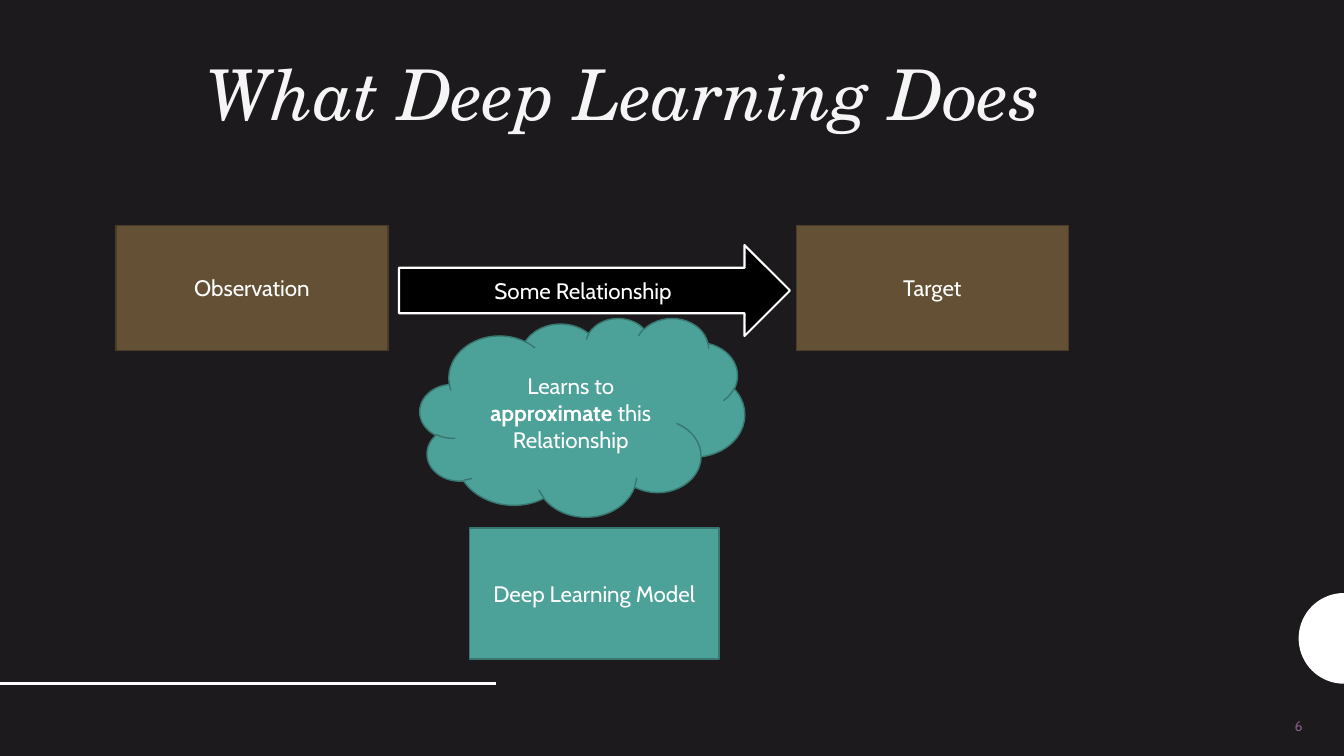
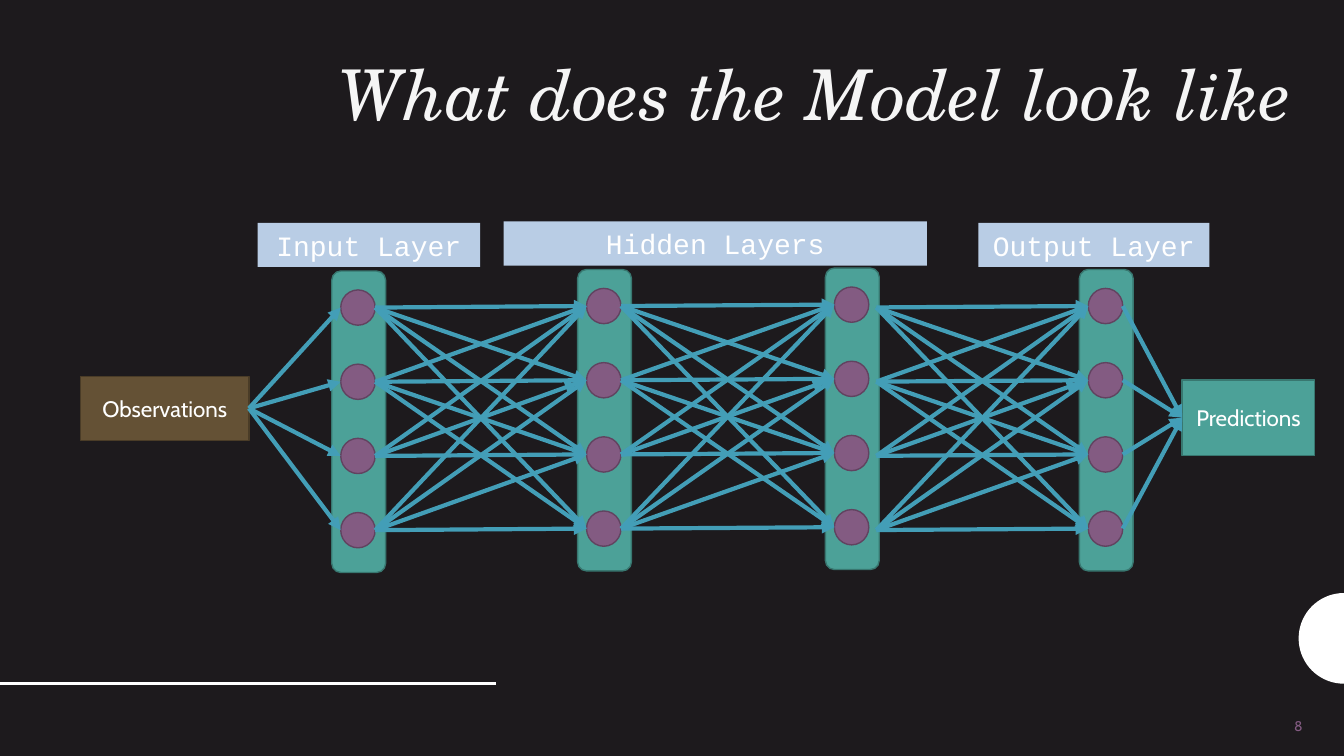
import math

import lxml.etree
import pptx
import pptx.dml.color
import pptx.enum.shapes
import pptx.enum.text
import pptx.oxml.ns
import pptx.util

Pt = pptx.util.Pt
SHAPE = pptx.enum.shapes.MSO_SHAPE
ALIGN = pptx.enum.text.PP_ALIGN
ANCHOR = pptx.enum.text.MSO_ANCHOR

WIDTH, HEIGHT = 960, 540
BACKGROUND, WHITE, TITLE_COLOR = "1D1A1D", "FFFFFF", "F5F5F5"
PURPLE, ARROW_BLUE = "835B82", "439EB7"

# Fill, line colour and line width of each kind of shape
BROWN_BOX = ("645135", "4A3C27", 1)
TEAL_BOX = ("4CA198", "387770", 1)
BLACK_ARROW = ("000000", WHITE, 1.5)
NEURON = (PURPLE, "614360", 1)
LABEL = ("B9CDE5", None, 0)
PLAIN_WHITE = (WHITE, None, 0)

# Text formats
BODY = {"name": "Cabin", "size": Pt(16), "color": WHITE}
LABEL_TEXT = {"name": "Courier New", "size": Pt(20), "color": WHITE}
TITLE = {"name": "TeX Gyre Schola", "size": Pt(50), "italic": True, "color": TITLE_COLOR}
NUMBER = {"name": "Cabin", "size": Pt(10), "color": PURPLE}

# Network grid
NODE_COUNT = 4
LAYER_WIDTH, LAYER_HEIGHT = 38.4, 215.3
NODE_WIDTH, NODE_HEIGHT, NODE_PITCH = 24.6, 25.2, 53
NODE_LEFT, NODE_TOP = 6.4, 13.5


def rgb(color):
    return pptx.dml.color.RGBColor.from_string(color)


class Deck:
    """Holds the presentation, its shared style and the current slide."""

    def __init__(self):
        self.presentation = pptx.Presentation()
        self.presentation.slide_width = Pt(WIDTH)
        self.presentation.slide_height = Pt(HEIGHT)
        self.slide = None

    def add_slide(self, title, title_width, number):
        self.slide = self.presentation.slides.add_slide(self.presentation.slide_layouts[6])
        fill = self.slide.background.fill
        fill.solid()
        fill.fore_color.rgb = rgb(BACKGROUND)
        self.half_circle(WIDTH, 456, 32.4)
        self.line((0, 488.4), (354.3, 488.4), WHITE, 2)
        self.text(713.5, 504, 224, 28.8, str(number), NUMBER, ANCHOR.MIDDLE)
        self.text(32.4, 10.1, title_width, 90.7, title, TITLE, ANCHOR.BOTTOM, 0.9)

    def paint(self, shape, style):
        fill_color, line_color, line_width = style
        shape.shadow.inherit = False
        shape.fill.solid()
        shape.fill.fore_color.rgb = rgb(fill_color)
        if line_color:
            shape.line.color.rgb = rgb(line_color)
            shape.line.width = Pt(line_width)
        else:
            shape.line.fill.background()

    def set_text(self, frame, runs, text_format, align, anchor):
        frame.word_wrap = True
        frame.vertical_anchor = anchor
        paragraph = frame.paragraphs[0]
        paragraph.alignment = align
        for text, extra in runs:
            run = paragraph.add_run()
            run.text = text
            for name, value in {**text_format, **extra}.items():
                if name == "color":
                    run.font.color.rgb = rgb(value)
                else:
                    setattr(run.font, name, value)
        return paragraph

    def text(self, left, top, width, height, text, text_format, anchor, spacing=1.0):
        box = self.slide.shapes.add_textbox(Pt(left), Pt(top), Pt(width), Pt(height))
        paragraph = self.set_text(box.text_frame, [(text, {})], text_format, ALIGN.RIGHT, anchor)
        paragraph.line_spacing = spacing

    def shape(self, kind, left, top, width, height, style, runs=(), text_format=BODY):
        shape = self.slide.shapes.add_shape(kind, Pt(left), Pt(top), Pt(width), Pt(height))
        self.paint(shape, style)
        if isinstance(runs, str):
            runs = [(runs, {})]
        if runs:
            self.set_text(shape.text_frame, runs, text_format, ALIGN.CENTER, ANCHOR.MIDDLE)
        return shape

    def half_circle(self, center_x, center_y, radius):
        angles = [math.radians(degree) for degree in range(90, 271, 5)]
        points = [(Pt(center_x + radius * math.cos(angle)),
                   Pt(center_y + radius * math.sin(angle))) for angle in angles]
        builder = self.slide.shapes.build_freeform(*points[0])
        builder.add_line_segments(points[1:], close=True)
        self.paint(builder.convert_to_shape(), PLAIN_WHITE)

    def line(self, start, end, color, width, arrow=False):
        connector = self.slide.shapes.add_connector(
            pptx.enum.shapes.MSO_CONNECTOR.STRAIGHT, *map(Pt, start + end))
        connector.line.color.rgb = rgb(color)
        connector.line.width = Pt(width)
        qualified = pptx.oxml.ns.qn
        properties = connector._element.spPr
        if arrow:
            line_element = properties.find(qualified("a:ln"))
            lxml.etree.SubElement(line_element, qualified("a:tailEnd"), type="triangle")
        lxml.etree.SubElement(properties, qualified("a:effectLst"))
        return connector

    def arrow(self, start, end):
        return self.line(start, end, ARROW_BLUE, 3, arrow=True)

    def label(self, left, top, width, text):
        self.shape(SHAPE.RECTANGLE, left, top, width, 31.5, LABEL, text, LABEL_TEXT)

    def layer(self, left, top):
        """Draw a column of nodes."""
        self.shape(SHAPE.ROUNDED_RECTANGLE, left, top, LAYER_WIDTH, LAYER_HEIGHT, TEAL_BOX)
        for index in range(NODE_COUNT):
            self.shape(SHAPE.FLOWCHART_CONNECTOR, left + NODE_LEFT,
                       top + NODE_TOP + index * NODE_PITCH, NODE_WIDTH, NODE_HEIGHT, NEURON)

    def connect_layers(self, starts, ends, layer_left):
        for row, start in enumerate(starts):
            for column, end in enumerate(ends):
                if (row, column) == (2, 3):  # these two nodes are not linked
                    continue
                if (row, column) == (2, 1):  # this arrow stops at the layer's edge
                    end = (layer_left, end[1] + 2)
                self.arrow(start, end)


def node_sides(left, top, right_side):
    """Middle points of one side of every node in a layer."""
    x = left + NODE_LEFT + (NODE_WIDTH if right_side else 0)
    first = top + NODE_TOP + NODE_HEIGHT / 2
    return [(x, first + index * NODE_PITCH) for index in range(NODE_COUNT)]


def build_purpose_slide(deck):
    deck.add_slide("What Deep Learning Does", 718.6, 6)
    for left, text in ((82.8, "Observation"), (568.8, "Target")):
        deck.shape(SHAPE.RECTANGLE, left, 161.2, 194.4, 89, BROWN_BOX, text)
    deck.shape(SHAPE.RIGHT_ARROW, 285, 175, 279.3, 65, BLACK_ARROW, "Some Relationship")
    deck.shape(SHAPE.RECTANGLE, 335.5, 377.2, 178, 93.6, TEAL_BOX, "Deep Learning Model")
    deck.shape(SHAPE.CLOUD, 300, 227, 232, 142, TEAL_BOX, [
        ("Learns to ", {}), ("approximate ", {"bold": True}), ("this Relationship", {})])


def build_network_slide(deck):
    deck.add_slide("What does the Model look like", 898, 8)
    observations = deck.shape(SHAPE.RECTANGLE, 57.6, 268.8, 120.2, 45.8,
                              BROWN_BOX, "Observations")

    # Input layer
    layers = [(237, 193.6), (412.6, 192.5), (589.6, 191.5), (771, 192.5)]
    deck.layer(*layers[0])
    deck.label(184, 159.2, 159, "Input Layer")
    for end in node_sides(*layers[0], right_side=False):
        deck.arrow((177.8, 291.7), end).begin_connect(observations, 3)

    # Hidden and output layers, each with the arrows that lead to it
    deck.label(359.8, 158.2, 302.4, "Hidden Layers")
    deck.label(698.8, 159.2, 165, "Output Layer")
    shifts = [(0, 0), (0, 0), (5.4, 2)]
    for source, target, (shift_x, shift_y) in zip(layers, layers[1:], shifts):
        deck.layer(*target)
        starts = [(x + shift_x, y + shift_y) for x, y in node_sides(*source, right_side=True)]
        deck.connect_layers(starts, node_sides(*target, right_side=False), target[0])

    # Predictions
    predictions = deck.shape(SHAPE.RECTANGLE, 844.4, 271.4, 94.8, 54, TEAL_BOX, "Predictions")
    for start in node_sides(*layers[-1], right_side=True):
        deck.arrow(start, (844.4, 298.4)).end_connect(predictions, 1)


def main():
    deck = Deck()
    build_purpose_slide(deck)
    build_network_slide(deck)
    deck.presentation.save("out.pptx")


if __name__ == "__main__":
    main()
